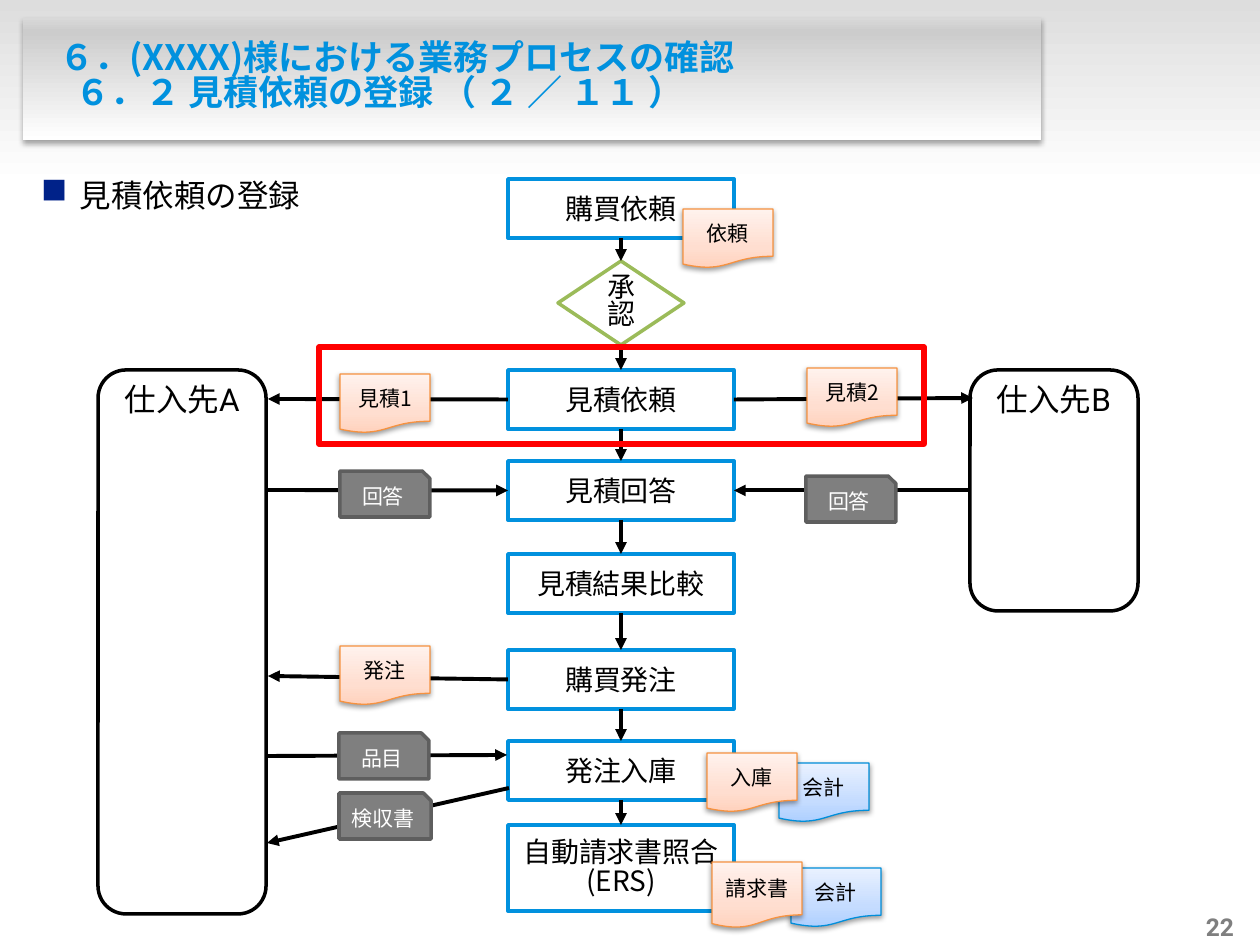
from dataclasses import dataclass, field

from lxml import etree
from pptx import Presentation
from pptx import util as u
from pptx.dml.color import RGBColor
from pptx.enum import shapes, text
from pptx.oxml import ns

SCALE = 914400 / 126
KIND = shapes.MSO_SHAPE
TOP, LEFT, BOTTOM, RIGHT = range(4)


@dataclass(frozen=True)
class Look:
    fill: str = None
    gradient: tuple = ()
    angle: int = 90
    line: str = None
    width: float = 2
    shadow: tuple = ()


@dataclass(frozen=True)
class Letter:
    size: int
    color: str = "000000"
    bold: bool = False
    name: str = "Noto Sans CJK JP"


@dataclass(frozen=True)
class Theme:
    looks: dict = field(default_factory=lambda: {
        "backdrop": Look(gradient=((0, "DDDDDD"), (100, "FFFFFF")), angle=270),
        "banner": Look(gradient=((0, "FFFFFF"), (89, "CCCCCC"), (100, "D9D9D9")),
                       shadow=(35, 3.1, 1.8)),
        "step": Look(fill="FFFFFF", line="0191DE"),
        "decision": Look(fill="FFFFFF", line="9BBB59"),
        "supplier": Look(fill="FFFFFF", line="000000"),
        "document": Look(gradient=((0, "FFD2BD"), (35, "FFDED0"), (100, "FFF2ED")),
                         line="F69240", width=0.75, shadow=(38, 3.1, 1.6)),
        "accounting": Look(gradient=((0, "ADCFFF"), (35, "C5DCFF"), (100, "E9F1FF")),
                           line="008EDA", width=0.75, shadow=(38, 3.1, 1.6)),
        "reply": Look(fill="7F7F7F", line="5E5E5E"),
        "highlight": Look(line="FF0000", width=3),
    })
    letters: dict = field(default_factory=lambda: {
        "title": Letter(20, "0191DE", True),
        "heading": Letter(18),
        "step": Letter(16),
        "document": Letter(12),
        "reply": Letter(12, "FFFFFF"),
        "supplier": Letter(18),
        "supplier_code": Letter(18, name="Roboto"),
        "page": Letter(14, "7F7F7F", True, "Roboto"),
    })
    arrow: str = "000000"
    arrow_width: float = 2.25
    bullet: str = "002289"


def px(value):
    return u.Emu(round(value * SCALE))


def assign(target, values):
    for name, value in values.items():
        setattr(target, name, value)


def add_element(parent, tag, **values):
    return etree.SubElement(parent, ns.qn(tag), {k: str(v) for k, v in values.items()})


class FlowSlide:
    def __init__(self, slide, theme):
        self.slide = slide
        self.theme = theme

    def block(self, kind, box, look_name):
        look = self.theme.looks[look_name]
        shape = self.slide.shapes.add_shape(kind, *map(px, box))
        shape.shadow.inherit = False
        if look.gradient:
            shape.fill.gradient()
            shape.fill.gradient_angle = look.angle
            stops = shape._element.spPr.find(".//" + ns.qn("a:gsLst"))
            stops.clear()
            for position, color in look.gradient:
                stop = add_element(stops, "a:gs", pos=position * 1000)
                add_element(stop, "a:srgbClr", val=color)
        elif look.fill:
            shape.fill.solid()
            shape.fill.fore_color.rgb = RGBColor.from_string(look.fill)
        else:
            shape.fill.background()
        if look.line:
            shape.line.color.rgb = RGBColor.from_string(look.line)
            shape.line.width = u.Pt(look.width)
        else:
            shape.line.fill.background()
        if look.shadow:
            alpha, blur, distance = look.shadow
            effects = shape._element.spPr.find(ns.qn("a:effectLst"))
            outer = add_element(effects, "a:outerShdw", blurRad=u.Pt(blur),
                                dist=u.Pt(distance), dir=5400000, rotWithShape=0)
            color = add_element(outer, "a:srgbClr", val="000000")
            add_element(color, "a:alpha", val=alpha * 1000)
        return shape

    def label(self, shape, lines, align="CENTER", anchor="MIDDLE", spacing=1.0,
              sides=0, ends=6, wrap=True):
        frame = shape.text_frame
        assign(frame, {
            "word_wrap": wrap, "vertical_anchor": text.MSO_ANCHOR[anchor],
            "margin_left": px(sides), "margin_right": px(sides),
            "margin_top": px(ends), "margin_bottom": px(ends),
        })
        for index, runs in enumerate(lines):
            paragraph = frame.add_paragraph() if index else frame.paragraphs[0]
            assign(paragraph, {"alignment": text.PP_ALIGN[align], "line_spacing": spacing})
            for words, letter_name in runs:
                letter = self.theme.letters[letter_name]
                run = paragraph.add_run()
                run.text = words
                assign(run.font, {"size": u.Pt(letter.size), "bold": letter.bold,
                                  "name": letter.name})
                run.font.color.rgb = RGBColor.from_string(letter.color)
                add_element(run.font._element, "a:ea", typeface=letter.name)
        return frame.paragraphs

    def textbox(self, box, lines, **layout):
        return self.label(self.slide.shapes.add_textbox(*map(px, box)), lines, **layout)

    def title(self, box, lines, indents):
        paragraphs = self.textbox(box, [[(line, "title")] for line in lines],
                                  align="LEFT", spacing=0.83)
        for paragraph, indent in zip(paragraphs, indents):
            paragraph._p.get_or_add_pPr().set("marL", str(px(indent)))

    def heading(self, box, words):
        paragraph = self.textbox(box, [[(words, "heading")]], align="LEFT",
                                 anchor="TOP", spacing=1.3, sides=13)[0]
        properties = paragraph._p.get_or_add_pPr()
        properties.set("marL", str(px(39)))
        properties.set("indent", str(px(-39)))
        color = add_element(properties, "a:buClr")
        add_element(color, "a:srgbClr", val=self.theme.bullet)
        add_element(properties, "a:buSzPct", val=113000)
        add_element(properties, "a:buChar", char="■")

    def step(self, top, *lines, height=59):
        shape = self.block(KIND.RECTANGLE, (508, top, 226, height), "step")
        self.label(shape, [[(line, "step")] for line in lines],
                   spacing=0.87 if len(lines) > 1 else 1.0)
        return shape

    def decision(self, box, words):
        shape = self.block(KIND.FLOWCHART_DECISION, box, "decision")
        self.label(shape, [[(words, "step")]], spacing=0.82, sides=13)
        return shape

    def supplier(self, box, code):
        shape = self.block(KIND.ROUNDED_RECTANGLE, box, "supplier")
        self.label(shape, [[("仕入先", "supplier"), (code, "supplier_code")]],
                   anchor="TOP", spacing=0.9)
        return shape

    def document(self, left, top, words, look="document", height=59):
        shape = self.block(KIND.FLOWCHART_DOCUMENT, (left, top, 90, height), look)
        self.label(shape, [[(words, "document")]])

    def reply(self, left, top, words, width=90):
        shape = self.block(KIND.SNIP_1_RECTANGLE, (left, top, width, 46), "reply")
        self.label(shape, [[(words, "reply")]])

    def arrow(self, start, end):
        points = [(0, 0) if hasattr(place[0], "shape_id") else place for place in (start, end)]
        connector = self.slide.shapes.add_connector(
            shapes.MSO_CONNECTOR.STRAIGHT, *(px(value) for point in points for value in point))
        for place, join in ((start, connector.begin_connect), (end, connector.end_connect)):
            if hasattr(place[0], "shape_id"):
                join(*place)
        connector.line.color.rgb = RGBColor.from_string(self.theme.arrow)
        connector.line.width = u.Pt(self.theme.arrow_width)
        add_element(connector.line._get_or_add_ln(), "a:tailEnd", type="triangle")
        add_element(connector._element.spPr, "a:effectLst")


def main():
    presentation = Presentation()
    assign(presentation, {"slide_width": px(1260), "slide_height": px(945)})
    slide = presentation.slides.add_slide(presentation.slide_layouts[6])
    flow = FlowSlide(slide, Theme())

    flow.block(KIND.RECTANGLE, (0, 0, 1260, 185), "backdrop")
    flow.block(KIND.RECTANGLE, (23, 18, 1018, 122), "banner")
    flow.textbox((1192, 911, 42, 30), [[("22", "page")]], align="RIGHT",
                 anchor="BOTTOM", ends=0, wrap=False)
    flow.heading((28, 159, 1216, 723), "見積依頼の登録")
    flow.title((35, 30, 990, 95),
               ["６．(XXXX)様における業務プロセスの確認", "６．２ 見積依頼の登録 （ ２ ／ １１ ）"],
               (24, 40))

    request = flow.step(179, "購買依頼")
    approval = flow.decision((558, 261, 126, 84), "承認")
    quote = flow.step(370, "見積依頼")
    answer = flow.step(461, "見積回答")
    comparison = flow.step(554, "見積結果比較")
    order = flow.step(650, "購買発注")
    receipt = flow.step(741, "発注入庫")
    invoice = flow.step(825, "自動請求書照合", "(ERS)", height=86)
    chain = [request, approval, quote, answer, comparison, order, receipt, invoice]
    for upper, lower in zip(chain, chain[1:]):
        flow.arrow((upper, BOTTOM), (lower, TOP))

    flow.supplier((98, 370, 168, 544), "A")
    supplier_b = flow.supplier((970, 370, 168, 241), "B")
    for start, end in [
        ((quote, LEFT), (268, 399)),
        ((order, LEFT), (268, 676)),
        ((supplier_b, LEFT), (answer, RIGHT)),
        ((268, 490), (answer, LEFT)),
        ((267, 756), (507, 755)),
        ((509, 788), (267, 843)),
        ((quote, RIGHT), (973, 398)),
    ]:
        flow.arrow(start, end)

    for left, top in ((791, 868), (779, 763)):
        flow.document(left, top, "会計", look="accounting")
    flow.document(712, 862, "請求書", height=66)
    for left, top, words in [(707, 753, "入庫"), (340, 646, "発注"), (340, 374, "見積1"),
                             (807, 368, "見積2"), (683, 209, "依頼")]:
        flow.document(left, top, words)
    for left, top, words in [(340, 471, "回答"), (806, 476, "回答"), (339, 733, "品目")]:
        flow.reply(left, top, words)
    flow.reply(339, 793, "検収書", width=92)
    flow.block(KIND.RECTANGLE, (319, 347, 605, 97), "highlight")
    presentation.save("out.pptx")


if __name__ == "__main__":
    main()
